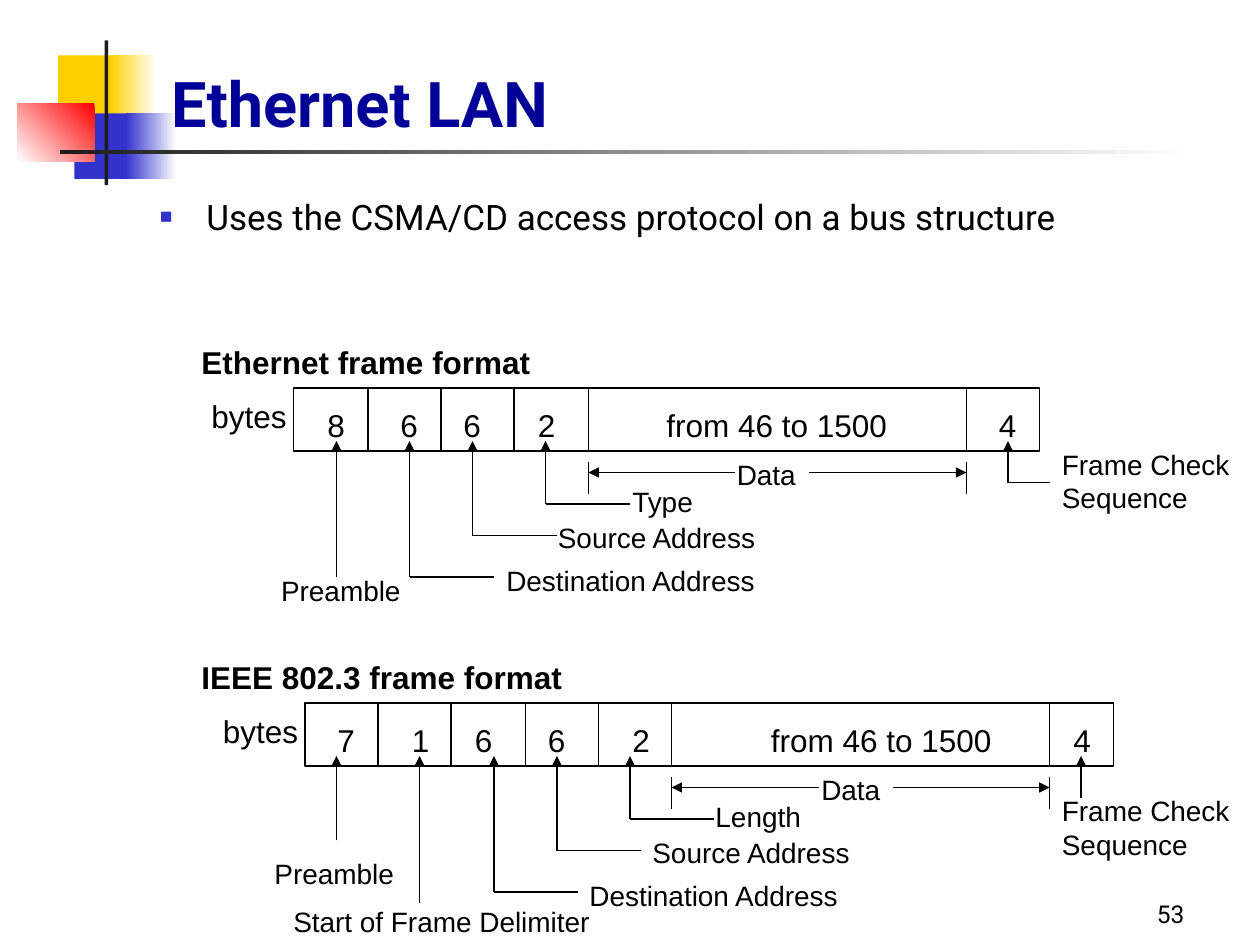
from dataclasses import dataclass
from typing import Optional

from lxml.etree import SubElement
from pptx import Presentation
from pptx.dml.color import RGBColor
from pptx.enum.shapes import MSO_CONNECTOR, MSO_SHAPE
from pptx.enum.text import MSO_ANCHOR, MSO_AUTO_SIZE, PP_ALIGN
from pptx.oxml.ns import qn
from pptx.util import Inches, Pt

BLACK = RGBColor(0x00, 0x00, 0x00)
WHITE = RGBColor(0xFF, 0xFF, 0xFF)
YELLOW = RGBColor(0xFF, 0xCF, 0x01)
BLUE = RGBColor(0x33, 0x33, 0xCC)
RED = RGBColor(0xFF, 0x00, 0x00)
CHARCOAL = RGBColor(0x1C, 0x1C, 0x1C)
NAVY = RGBColor(0x00, 0x00, 0x99)
LINE_WIDTH = Pt(0.74)
ROW_HEIGHT = 0.5
VALUE_WIDTH = 0.33
DATA_WIDTH = 2.83


@dataclass
class Block:
    left: float
    top: float
    width: float
    height: float
    start: RGBColor
    end: Optional[RGBColor] = None
    angle: float = 180


@dataclass
class Pointer:
    """An arrow up to a field; vertical places are measured from the row top."""
    label: str
    arrow_x: float
    depth: float
    elbow: float
    label_left: float
    label_drop: float
    label_width: float = 2.33
    align: PP_ALIGN = PP_ALIGN.LEFT


@dataclass
class Frame:
    title: str
    left: float
    top: float
    width: float
    dividers: list[float]
    values: list[tuple[str, float]]
    data_text_left: float
    data_label_left: float
    pointers: list[Pointer]


def add_text(shapes, text: str, left: float, top: float, width: float, height: float,
             size: float = 16, font: str = "Arial", color: RGBColor = BLACK,
             bold: bool = False, align: PP_ALIGN = PP_ALIGN.LEFT, before: float = 0,
             anchor: MSO_ANCHOR = MSO_ANCHOR.TOP,
             fit: MSO_AUTO_SIZE = MSO_AUTO_SIZE.SHAPE_TO_FIT_TEXT):
    box = shapes.add_textbox(Inches(left), Inches(top), Inches(width), Inches(height))
    para = box.text_frame.paragraphs[0]
    span = para.add_run()
    span.text = text
    span.font.color.rgb = color
    formats = (
        (box.text_frame, {"word_wrap": True, "auto_size": fit, "vertical_anchor": anchor}),
        (para, {"alignment": align, "space_before": Pt(before)}),
        (span.font, {"name": font, "size": Pt(size), "bold": bold}),
    )
    for target, values in formats:
        for name, value in values.items():
            setattr(target, name, value)
    return para


def add_line(shapes, x1: float, y1: float, x2: float, y2: float, arrow: bool = False) -> None:
    line = shapes.add_connector(MSO_CONNECTOR.STRAIGHT, Inches(x1), Inches(y1),
                                Inches(x2), Inches(y2))
    line.line.color.rgb = BLACK
    line.line.width = LINE_WIDTH
    if arrow:
        SubElement(line.line._get_or_add_ln(), qn("a:tailEnd"), type="triangle")
    SubElement(line._element.spPr, qn("a:effectLst"))


def add_rectangle(shapes, left: float, top: float, width: float, height: float):
    box = shapes.add_shape(MSO_SHAPE.RECTANGLE, Inches(left), Inches(top),
                           Inches(width), Inches(height))
    box.shadow.inherit = False
    return box


def add_block(shapes, block: Block) -> None:
    box = add_rectangle(shapes, block.left, block.top, block.width, block.height)
    box.line.fill.background()
    if block.end is None:
        box.fill.solid()
        box.fill.fore_color.rgb = block.start
        return
    box.fill.gradient()
    box.fill.gradient_angle = block.angle
    for stop, color in zip(box.fill.gradient_stops, (block.start, block.end)):
        stop.color.rgb = color


def add_pointer(shapes, pointer: Pointer, top: float) -> None:
    x, bottom = pointer.arrow_x, top + pointer.depth
    add_line(shapes, x, bottom, x, top + 0.42, arrow=True)
    if pointer.elbow:
        add_line(shapes, x, bottom, x + pointer.elbow, bottom)
    add_text(shapes, pointer.label, pointer.label_left, top + pointer.label_drop,
             pointer.label_width, 0.37, align=pointer.align)


def add_frame(page, frame: Frame) -> None:
    shapes = page.shapes.add_group_shape().shapes
    top = frame.top

    # Row of fields
    row = add_rectangle(shapes, frame.left, top, frame.width, ROW_HEIGHT)
    row.fill.background()
    row.line.color.rgb = BLACK
    row.line.width = LINE_WIDTH
    for x in frame.dividers:
        add_line(shapes, x, top, x, top + ROW_HEIGHT)
    heading = {"size": 18, "before": 11.2}
    for text, left in frame.values:
        add_text(shapes, text, left, top + 0.09, VALUE_WIDTH, 0.4, **heading)
    add_text(shapes, "from 46 to 1500", frame.data_text_left, top + 0.09, DATA_WIDTH, 0.4,
             align=PP_ALIGN.CENTER, **heading)
    add_text(shapes, "bytes", frame.left - 0.75, top + 0.02, 1, 0.4, **heading)
    add_text(shapes, frame.title, 1.5, top - 0.41, 3.08, 0.4, bold=True, **heading)

    # Extent of the data field
    start, end = frame.dividers[-2:]
    for x in (start, end):
        add_line(shapes, x, top + 0.59, x, top + 0.84)
    label = frame.data_label_left
    add_text(shapes, "Data", label, top + 0.5, 0.73, 0.37)
    add_line(shapes, label + 0.67, top + 0.67, end, top + 0.67, arrow=True)
    add_line(shapes, label + 0.08, top + 0.67, start, top + 0.67, arrow=True)

    for pointer in frame.pointers:
        add_pointer(shapes, pointer, top)


BLOCKS = [
    Block(0.46, 0.44, 0.48, 0.52, YELLOW),
    Block(0.88, 0.44, 0.36, 0.52, WHITE, YELLOW),
    Block(0.59, 0.9, 0.46, 0.52, BLUE),
    Block(1, 0.9, 0.4, 0.52, WHITE, BLUE),
    Block(0.14, 0.82, 0.61, 0.46, RED, WHITE, 225),
    Block(0.83, 0.32, 0.03, 1.15, CHARCOAL),
    Block(0.48, 1.19, 9, 0.03, WHITE, CHARCOAL),
]
FRAMES = [
    Frame("Ethernet frame format", 2.33, 3.08, 5.92, [2.92, 3.5, 4.08, 4.67, 7.67],
          [("8", 2.5), ("6", 3.08), ("6", 3.58), ("2", 4.17), ("4", 7.83)], 4.75, 5.75, [
        Pointer("Type", 4.33, 0.92, 0.67, 4.92, 0.72, 0.73),
        Pointer("Source Address", 3.75, 1.17, 0.67, 4.33, 1),
        Pointer("Destination Address", 3.25, 1.5, 0.67, 3.92, 1.34),
        Pointer("Preamble", 2.67, 1.5, 0, 2.08, 1.42, 1.25, PP_ALIGN.CENTER),
        Pointer("Frame Check Sequence", 8, 0.75, 0.33, 8.33, 0.42, 1.67)]),
    Frame("IEEE 802.3 frame format", 2.42, 5.58, 6.42, [3, 3.58, 4.17, 4.75, 5.33, 8.33],
          [("7", 2.58), ("1", 3.17), ("6", 3.67), ("6", 4.25), ("2", 4.92), ("4", 8.42)],
          5.58, 6.42, [
        Pointer("Length", 5, 0.92, 0.67, 5.58, 0.72, 1.08),
        Pointer("Source Address", 4.42, 1.17, 0.67, 5.08, 1),
        Pointer("Destination Address", 3.92, 1.5, 0.67, 4.58, 1.34),
        Pointer("Preamble", 2.67, 1.09, 0, 2.08, 1.17, 1.25),
        Pointer("Start of Frame Delimiter", 3.33, 1.59, 0, 2.17, 1.55, 2.67, PP_ALIGN.CENTER),
        Pointer("Frame Check Sequence", 8.58, 0.75, 0, 8.33, 0.67, 1.67)]),
]

deck = Presentation()
deck.slide_width, deck.slide_height = Inches(10), Inches(7.5)
page = deck.slides.add_slide(deck.slide_layouts[6])

# Corner ornament and rule
for block in BLOCKS:
    add_block(page.shapes, block)

# Title, bullet and page number
fixed = {"font": "Roboto", "fit": MSO_AUTO_SIZE.NONE}
add_text(page.shapes, "Ethernet LAN", 1.26, -0.09, 8.52, 1.25, size=36, color=NAVY,
         bold=True, anchor=MSO_ANCHOR.BOTTOM, **fixed)
bullet = add_text(page.shapes, "Uses the CSMA/CD access protocol on a bus structure",
                  1.17, 1.5, 8.5, 5.12, size=20, before=5, **fixed)
properties = bullet._p.get_or_add_pPr()
properties.set("marL", str(Inches(0.37)))
properties.set("indent", str(Inches(-0.37)))
SubElement(SubElement(properties, qn("a:buClr")), qn("a:srgbClr"), val=str(BLUE))
SubElement(properties, qn("a:buSzPct"), val="60000")
SubElement(properties, qn("a:buFont"), typeface="Arial")
SubElement(properties, qn("a:buChar"), char="■")
add_text(page.shapes, "53", 7.42, 6.92, 2.08, 0.5, size=14, align=PP_ALIGN.RIGHT,
         anchor=MSO_ANCHOR.BOTTOM, **fixed)

# Frame diagrams
for frame in FRAMES:
    add_frame(page, frame)

deck.save("out.pptx")
